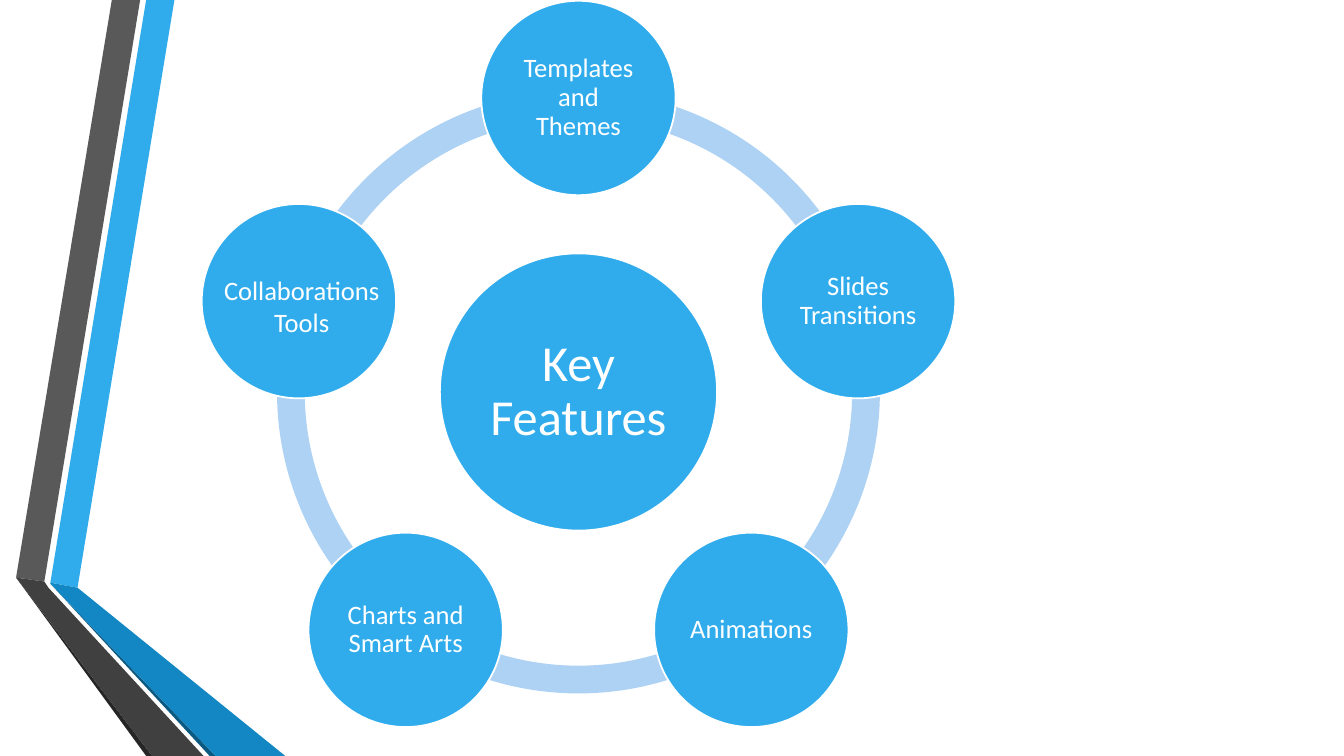
from math import cos, radians, sin

from pptx import Presentation
from pptx.dml.color import RGBColor
from pptx.enum.shapes import MSO_SHAPE
from pptx.enum.text import MSO_ANCHOR, PP_ALIGN
from pptx.util import Pt

COLORS = {
    "blue": "30ACEC",
    "dark_blue": "1287C3",
    "deep_blue": "0C5A82",
    "gray": "595959",
    "dark_gray": "404040",
    "black": "262626",
    "ring": "AED2F4",
    "white": "FFFFFF",
}


def write_text(shape, text, size=19, inset=2.4, line_spacing=0.9, anchor=MSO_ANCHOR.MIDDLE):
    frame = shape.text_frame
    frame.word_wrap = True
    frame.vertical_anchor = anchor
    frame.margin_left = frame.margin_right = Pt(inset)
    frame.margin_top = frame.margin_bottom = Pt(min(inset, 3.6))
    paragraph = frame.paragraphs[0]
    paragraph.text = text
    paragraph.alignment = PP_ALIGN.CENTER
    paragraph.line_spacing = line_spacing
    paragraph.font.name = "Calibri"
    paragraph.font.size = Pt(size)
    paragraph.font.color.rgb = RGBColor.from_string(COLORS["white"])


def paint(shape, fill, outlined=False):
    shape.shadow.inherit = False
    shape.fill.solid()
    shape.fill.fore_color.rgb = RGBColor.from_string(COLORS[fill])
    if outlined:
        shape.line.color.rgb = RGBColor.from_string(COLORS["white"])
        shape.line.width = Pt(1.25)
    else:
        shape.line.fill.background()


presentation = Presentation()
presentation.slide_width = Pt(960)
presentation.slide_height = Pt(540)
slide = presentation.slides.add_slide(presentation.slide_layouts[6])

# Folded ribbons on the left edge
ribbons = [
    ("blue", [(36, 416.2), (55.4, 419.8), (124.6, 0), (104.4, 0)]),
    ("gray", [(100.1, 0), (79.9, 0), (11.5, 412.6), (31.7, 415.4)]),
    ("black", [(11.5, 412.6), (104.4, 540), (108.7, 540)]),
    ("deep_blue", [(36, 416.9), (149.8, 540), (154.1, 540)]),
    ("dark_blue", [(36, 416.2), (36, 416.9), (154.1, 540), (203.8, 540), (55.4, 419.8)]),
    ("dark_gray", [(145.4, 540), (34.6, 419.8), (31.7, 415.4), (11.5, 412.6), (108.7, 540)]),
]
for color, corners in ribbons:
    points = [(Pt(x), Pt(y)) for x, y in corners]
    builder = slide.shapes.build_freeform(*points[0], scale=1)
    builder.add_line_segments(points[1:], close=True)
    paint(builder.convert_to_shape(), color)

# Ring of five arcs, one between each pair of neighbouring features
center_x, center_y = 413.2, 280
ring_size, hub_size, node_size = 430.6, 198, 138.8
orbit = 210
features = [
    "Templates and Themes",
    "Slides Transitions",
    "Animations",
    "Charts and Smart Arts",
    "Collaborations Tools",
]
step = 360 / len(features)
for index in range(len(features)):
    start = 198 - step * index
    arc = slide.shapes.add_shape(
        MSO_SHAPE.BLOCK_ARC,
        Pt(center_x - ring_size / 2), Pt(center_y - ring_size / 2), Pt(ring_size), Pt(ring_size),
    )
    # Angles are in 60000ths of a degree, adjustments in 100000ths
    arc.adjustments[0] = start % 360 * 0.6
    arc.adjustments[1] = (start + step) % 360 * 0.6
    arc.adjustments[2] = 0.046
    paint(arc, "ring")

# Central hub
hub = slide.shapes.add_shape(
    MSO_SHAPE.OVAL,
    Pt(center_x - hub_size / 2), Pt(center_y - hub_size / 2), Pt(hub_size), Pt(hub_size),
)
paint(hub, "blue", outlined=True)
write_text(hub, "Key Features", size=36, inset=3.6)

# Feature circles, clockwise from the top
for index, feature in enumerate(features):
    angle = radians(step * index - 90)
    left = center_x + orbit * cos(angle) - node_size / 2
    top = center_y + orbit * sin(angle) - node_size / 2
    node = slide.shapes.add_shape(MSO_SHAPE.OVAL, Pt(left), Pt(top), Pt(node_size), Pt(node_size))
    paint(node, "blue", outlined=True)
    if feature == "Collaborations Tools":
        # The long word needs a label wider than the circle's text area
        label = slide.shapes.add_textbox(Pt(150.5), Pt(192.2), Pt(130), Pt(53.3))
        write_text(label, feature, inset=7.2, line_spacing=1.0, anchor=MSO_ANCHOR.TOP)
    else:
        write_text(node, feature)

presentation.save("out.pptx")
